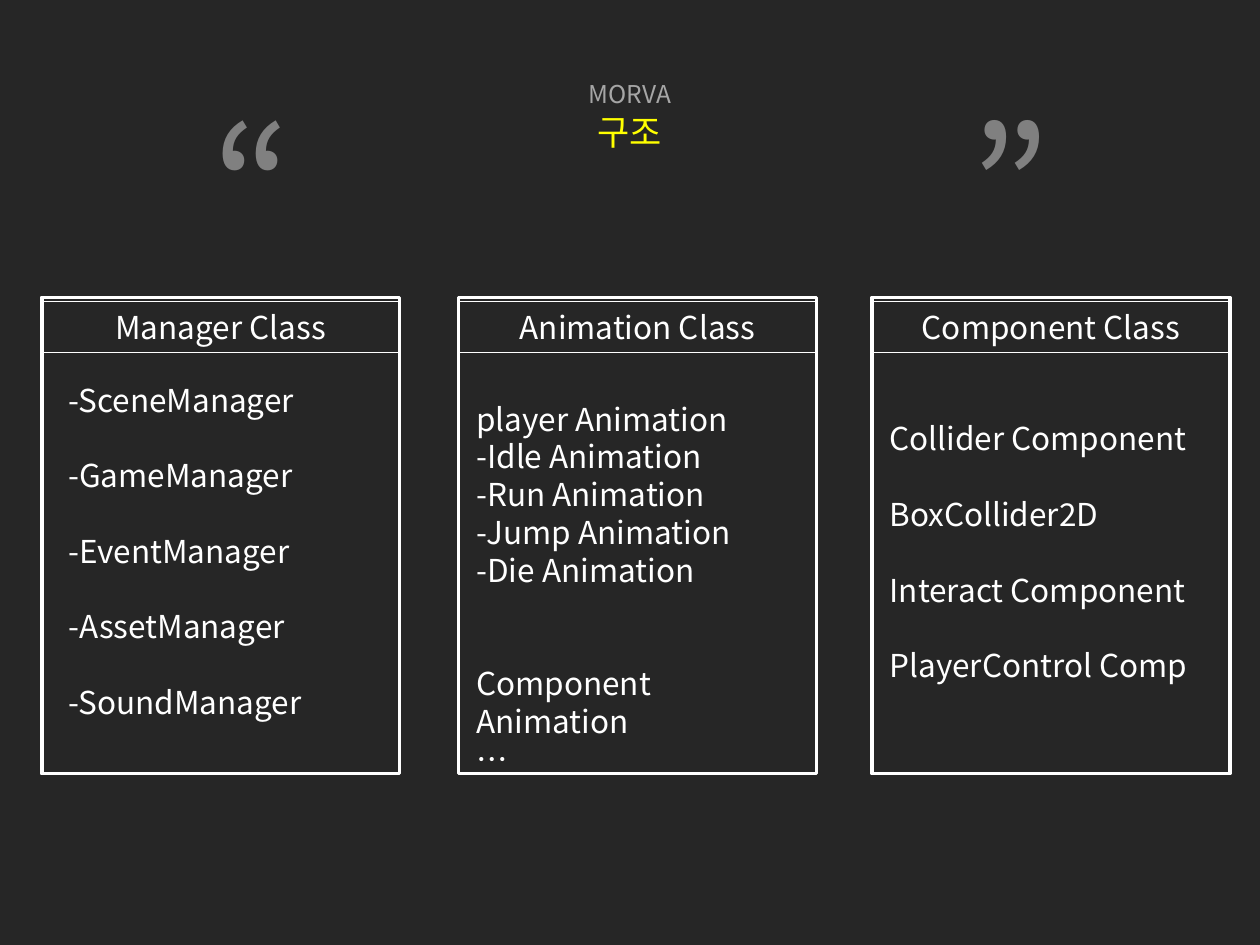
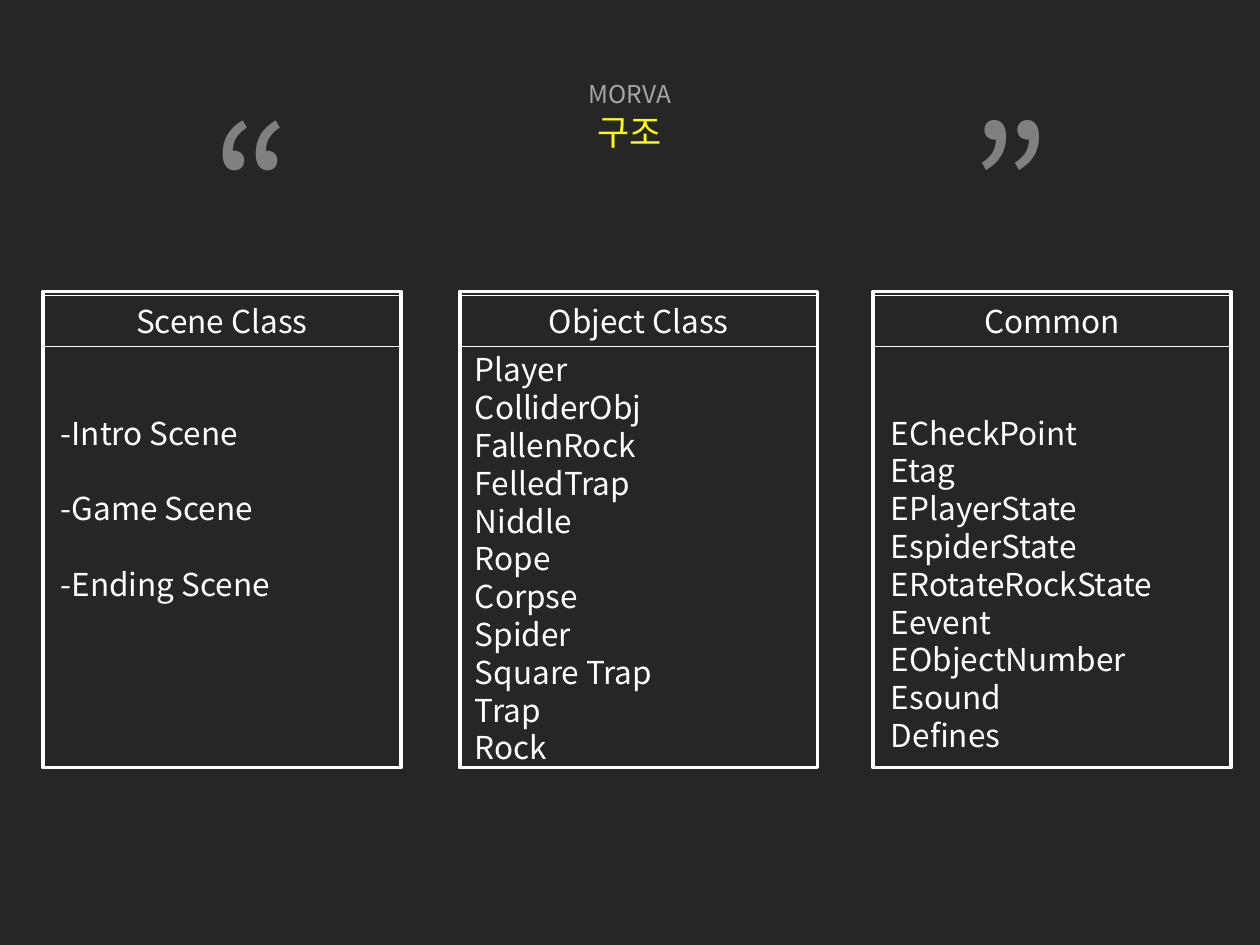
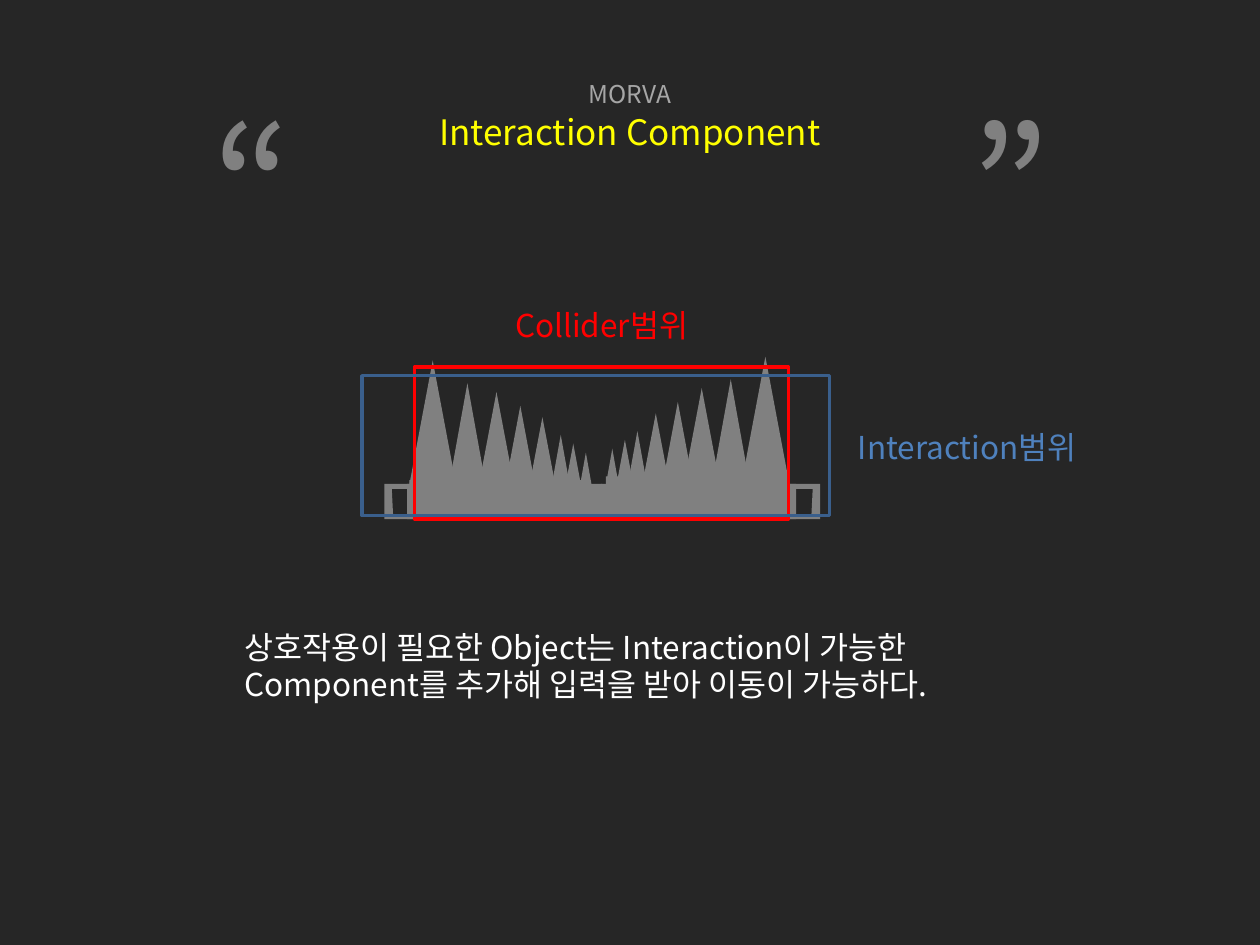
from lxml import etree
from pptx import Presentation
from pptx.dml.color import RGBColor
from pptx.enum.shapes import MSO_SHAPE
from pptx.enum.text import MSO_ANCHOR, MSO_AUTO_SIZE, PP_ALIGN
from pptx.oxml.ns import qn
from pptx.util import Pt

RECT, SPIKE = MSO_SHAPE.RECTANGLE, MSO_SHAPE.ISOSCELES_TRIANGLE
LEFT, MID = PP_ALIGN.LEFT, PP_ALIGN.CENTER
TOP, CENTER = MSO_ANCHOR.TOP, MSO_ANCHOR.MIDDLE
FIXED = MSO_AUTO_SIZE.NONE

DARK = RGBColor(0x26, 0x26, 0x26)
WHITE = RGBColor(0xFF, 0xFF, 0xFF)
GRAY = RGBColor(0x80, 0x80, 0x80)
PALE = RGBColor(0xA6, 0xA6, 0xA6)
YELLOW = RGBColor(0xFF, 0xFF, 0x00)
RED = RGBColor(0xFF, 0x00, 0x00)
NAVY = RGBColor(0x3A, 0x5F, 0x8C)
BLUE = RGBColor(0x4F, 0x81, 0xBD)

FONT = "Noto Sans CJK KR"
COLS = (23.9, 262.1, 498.3)
CARD_W, CARD_H = 204.5, 272.2
LINE = 21.6
SPACED = dict.fromkeys(range(1, 5), LINE)

STRUCT = [
    (0, 169.9, [
        ("Manager Class", 7.9, 44, SPACED,
         ["-SceneManager", "-GameManager", "-EventManager",
          "-AssetManager", "-SoundManager"]),
        ("Animation Class", 2.9, 54.8, {5: 2 * LINE},
         ["player Animation", "-Idle Animation", "-Run Animation",
          "-Jump Animation", "-Die Animation", "Component Animation", "…"]),
        ("Component Class", 2.9, 66.2, SPACED,
         ["Collider Component", "BoxCollider2D", "Interact Component",
          "PlayerControl Comp"]),
    ]),
    (0.7, 166.5, [
        ("Scene Class", 2.9, 66.2, SPACED,
         ["-Intro Scene", "-Game Scene", "-Ending Scene"]),
        ("Object Class", 1.4, 30.1, {},
         ["Player", "ColliderObj", "FallenRock", "FelledTrap", "Niddle",
          "Rope", "Corpse", "Spider", "Square Trap", "Trap", "Rock"]),
        ("Common", 2.9, 66.2, {},
         ["ECheckPoint", "Etag", "EPlayerState", "EspiderState",
          "ERotateRockState", "Eevent", "EObjectNumber", "Esound",
          "Defines"]),
    ]),
]

SPIKES = [
    (14.4, 26.6, 0, 70.6), (36.7, 21.6, 13, 59.8),
    (54, 20.2, 18, 53.3), (69.1, 17.3, 25.9, 46.1),
    (82.8, 15.1, 32.4, 39.6), (95.8, 10.1, 42.5, 28.1),
    (103.7, 8.6, 47.5, 23), (111.6, 7.2, 52.6, 20.2),
]


def write(shape, lines, size=18, color=WHITE, align=LEFT, anchor=TOP, gaps=None):
    frame = shape.text_frame
    frame.word_wrap = True
    frame.auto_size = FIXED
    frame.vertical_anchor = anchor
    for i, line in enumerate(lines):
        para = frame.add_paragraph() if i else frame.paragraphs[0]
        props = para._p.get_or_add_pPr()
        props.set("marL", "0")
        props.set("indent", "0")
        etree.SubElement(props, qn("a:buNone"))
        para.alignment = align
        para.space_before = Pt((gaps or {}).get(i, 0))
        run = para.add_run()
        run.text = line
        font = run.font
        font.size, font.bold, font.name = Pt(size), False, FONT
        font.color.rgb = color
        east = etree.SubElement(run._r.get_or_add_rPr(), qn("a:ea"))
        east.set("typeface", FONT)


def move(shape, *box):
    shape.left, shape.top, shape.width, shape.height = map(Pt, box)
    return shape


def label(slide, text, *box, **style):
    write(slide.shapes.add_textbox(*map(Pt, box)), [text], **style)


def paint(shape, fill=None, line=None, width=2):
    shape.shadow.inherit = False
    if fill is None:
        shape.fill.background()
    else:
        shape.fill.solid()
        shape.fill.fore_color.rgb = fill
    if line is None:
        shape.line.fill.background()
    else:
        shape.line.color.rgb = line
        shape.line.width = Pt(width)
    return shape


def draw(slide, kind, *box, **style):
    return paint(slide.shapes.add_shape(kind, *map(Pt, box)), **style)


def head(slide, title):
    for mark, x in (("“", 108), ("”", 541.6)):
        label(slide, mark, x, 43.9, 72, 123.8, size=96, color=GRAY, align=MID)
    label(slide, "MORVA", 198.7, 41.8, 322.6, 24.5, size=14, color=PALE, align=MID)
    write(move(slide.shapes.title, 82.1, 59.8, 555.8, 31.7), [title],
          size=20, color=YELLOW, align=MID)


def card(slide, body, x, y, name, dx, dy, gaps, items):
    bar = draw(slide, RECT, x, y + 2.5, CARD_W, 29, line=WHITE, width=0.75)
    write(bar, [name], align=MID, anchor=CENTER)
    draw(slide, RECT, x, y, CARD_W, CARD_H, line=WHITE)
    tall = LINE * len(items) + sum(gaps.get(i, 0) for i in range(len(items))) + 7.2
    write(move(body, x + dx, y + dy, 201.6, tall), items, gaps=gaps)


def classes(deck, shift, y, cards):
    slide = deck.slides.add_slide(deck.slide_layouts[4])
    head(slide, "구조")
    bodies = list(slide.placeholders)[1:]
    for body, x, data in zip(bodies, COLS, cards):
        card(slide, body, x + shift, y, *data)
    spare = bodies[-1]._element
    spare.getparent().remove(spare)


def ring(slide, x, y, flip):
    def turn(points):
        return [(Pt(x + (26.5 - px if flip else px)), Pt(y + py))
                for px, py in points]

    rim = turn([(0, 0), (26.5, 0), (26.5, 20.2), (0, 20.2)])
    hole = turn([(4.3, 2.9), (5, 17.3), (23.8, 17.3), (23.8, 2.9)])
    path = slide.shapes.build_freeform(*rim[0])
    path.add_line_segments(rim[1:])
    path.move_to(*hole[0])
    path.add_line_segments(hole[1:])
    paint(path.convert_to_shape(), fill=GRAY)


def trap(slide, x, y):
    for flip in (False, True):
        drop = 0 if flip else 2.2

        def side(left, wide, span):
            return x + (span - left - wide if flip else left)

        draw(slide, RECT, side(13, 111.6, 248.4), y + 72.7, 111.6, 20.2, fill=GRAY)
        ring(slide, side(0, 26.5, 249.1), y + 72.7, flip)
        for left, wide, top, tall in SPIKES:
            draw(slide, SPIKE, side(left, wide, 245.5), y + top + drop,
                 wide, tall, fill=GRAY)
        draw(slide, RECT, side(14.4, 103.7, 244.8), y + 68.4 + drop,
             103.7, 4.3, fill=GRAY)


def ranges(deck):
    slide = deck.slides.add_slide(deck.slide_layouts[1])
    head(slide, "Interaction Component")
    trap(slide, 219.6, 203.8)
    draw(slide, RECT, 236.9, 209.7, 213.8, 87, line=RED)
    draw(slide, RECT, 206.9, 214.7, 267.1, 80, line=NAVY)
    label(slide, "Collider범위", 287.3, 171.4, 131, 29, color=RED)
    label(slide, "Interaction범위", 483.1, 241.2, 146.2, 29, color=BLUE)
    write(move(slide.placeholders[1], 132.5, 355, 473.8, 51),
          ["상호작용이 필요한 Object는 Interaction이 가능한 "
           "Component를 추가해 입력을 받아 이동이 가능하다."])


def main():
    deck = Presentation()
    deck.slide_width, deck.slide_height = Pt(720), Pt(540)
    back = deck.slide_master.background.fill
    back.solid()
    back.fore_color.rgb = DARK
    for shift, y, cards in STRUCT:
        classes(deck, shift, y, cards)
    ranges(deck)
    deck.save("out.pptx")


if __name__ == "__main__":
    main()
